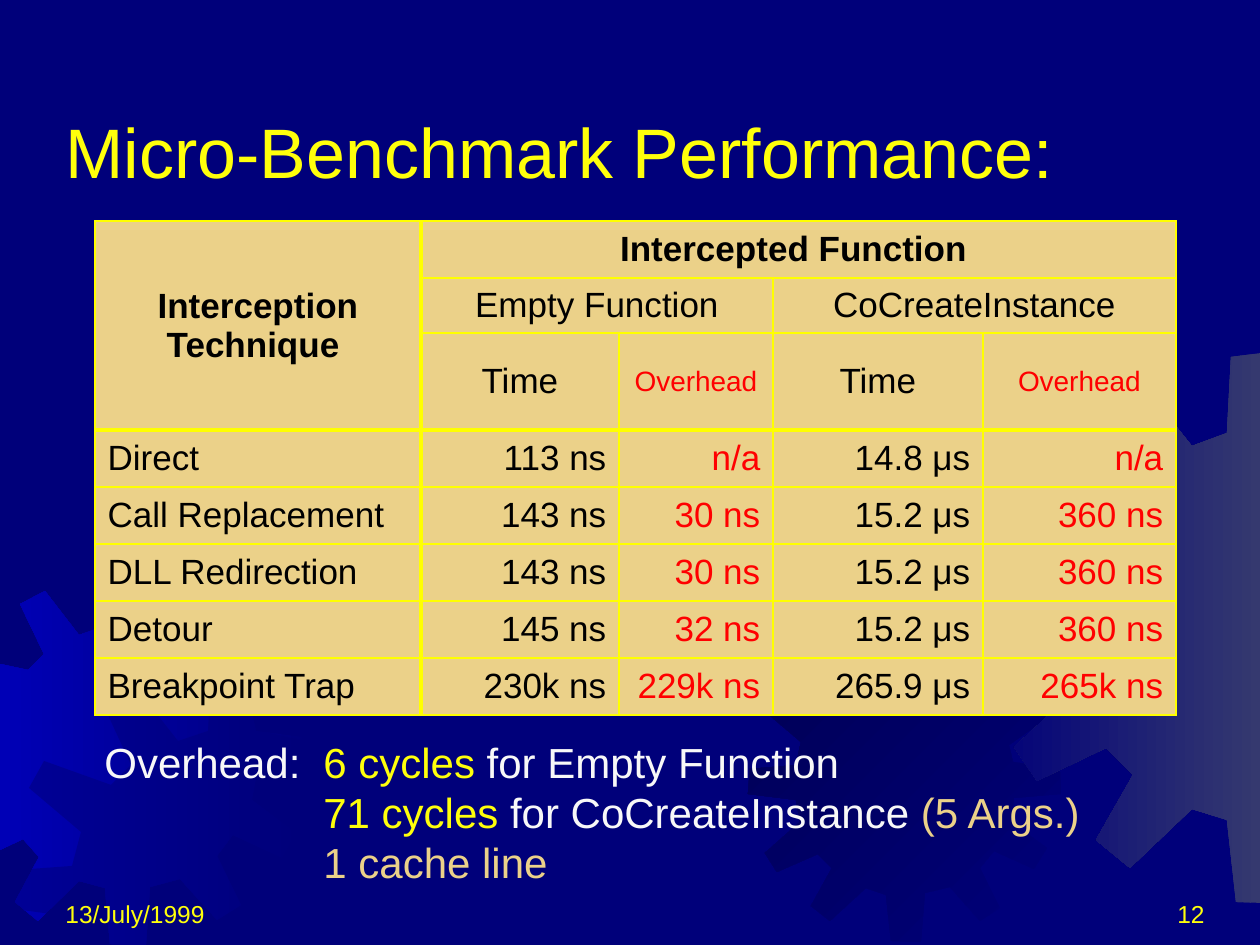
"""Build the micro-benchmark performance slide with its results table and gear backdrop."""
from dataclasses import dataclass

from lxml import etree
from pptx import Presentation
from pptx.dml.color import RGBColor
from pptx.enum.text import MSO_ANCHOR, PP_ALIGN
from pptx.oxml.ns import qn
from pptx.util import Emu, Pt

LEFT, CENTER, RIGHT = PP_ALIGN.LEFT, PP_ALIGN.CENTER, PP_ALIGN.RIGHT
JUSTIFY = PP_ALIGN.JUSTIFY
TOP, MIDDLE, BOTTOM = MSO_ANCHOR.TOP, MSO_ANCHOR.MIDDLE, MSO_ANCHOR.BOTTOM
PIXEL = 914400 // 126


@dataclass(frozen=True)
class Theme:
    font: str = "Arial"
    navy: str = "00007A"
    blue: str = "0000B6"
    midnight: str = "000054"
    slate: str = "35396F"
    yellow: str = "FFFF0B"
    border: str = "FFFF00"
    white: str = "F8F8F8"
    tan: str = "EBD189"
    black: str = "000000"
    red: str = "FF0000"
    title_size: int = 40
    note_size: int = 24
    table_size: int = 20
    small_size: int = 16
    footer_size: int = 14
    thin: float = 1.08
    thick: float = 2.21


theme = Theme()


def add_run(paragraph, text, size, color, bold=False):
    run = paragraph.add_run()
    run.text = text
    run.font.name = theme.font
    run.font.size = Pt(size)
    run.font.bold = bold
    run.font.color.rgb = RGBColor.from_string(color)


def add_text_box(left, top, width, height, anchor):
    box = slide.shapes.add_textbox(*(Emu(n * PIXEL) for n in (left, top, width, height)))
    box.text_frame.word_wrap = True
    box.text_frame.vertical_anchor = anchor
    return box.text_frame


presentation = Presentation()
presentation.slide_width = Emu(1260 * PIXEL)
presentation.slide_height = Emu(945 * PIXEL)
slide = presentation.slides.add_slide(presentation.slide_layouts[5])
slide.background.fill.solid()
slide.background.fill.fore_color.rgb = RGBColor.from_string(theme.navy)

left_gear = [
    (176, 634), (147, 626), (144, 572), (107, 575), (105, 626), (79, 635), (45, 591), (20, 604),
    (44, 654), (28, 670), (0, 664), (0, 850), (23, 839), (39, 857), (15, 902), (38, 921),
    (79, 881), (105, 888), (110, 944), (146, 945), (150, 887), (180, 879), (217, 920), (241, 905),
    (217, 856), (233, 835), (282, 858), (296, 833), (252, 800), (257, 772), (312, 767), (311, 738),
    (256, 731), (251, 709), (295, 678), (281, 653), (231, 673), (214, 656), (239, 610), (215, 595),
]
shade_gear = [
    (300, 740), (262, 731), (257, 662), (212, 664), (208, 731), (178, 741), (134, 685), (102, 702),
    (131, 765), (111, 785), (44, 761), (29, 788), (81, 832), (72, 866), (3, 871), (0, 907),
    (72, 917), (79, 950), (396, 950), (402, 915), (471, 907), (470, 872), (401, 862), (393, 834),
    (450, 795), (431, 764), (368, 789), (348, 769), (379, 708), (349, 690),
]
lower_gear = [
    (946, 682), (922, 677), (919, 630), (888, 633), (886, 677), (866, 683), (837, 646), (816, 658),
    (835, 698), (822, 712), (777, 697), (767, 713), (801, 742), (796, 765), (750, 769), (748, 794),
    (796, 800), (800, 822), (765, 853), (777, 872), (818, 854), (832, 868), (811, 906), (830, 921),
    (866, 888), (886, 895), (891, 941), (921, 942), (925, 893), (950, 887), (980, 921), (1000, 908),
    (980, 868), (994, 851), (1034, 869), (1047, 848), (1011, 822), (1014, 798), (1061, 794),
    (1060, 770), (1013, 762), (1009, 745), (1046, 719), (1033, 698), (992, 714), (978, 701),
    (999, 662), (979, 649),
]
right_gear = [
    (1261, 353), (1231, 357), (1227, 433), (1192, 446), (1140, 381), (1104, 401), (1138, 474),
    (1114, 498), (1037, 470), (1019, 500), (1079, 552), (1068, 591), (987, 597), (985, 641),
    (1068, 653), (1076, 690), (1014, 747), (1037, 781), (1106, 748), (1133, 775), (1096, 840),
    (1130, 868), (1192, 809), (1227, 820), (1236, 902), (1261, 903),
]
gears = [
    (left_gear, (theme.navy, theme.blue), 180),
    (shade_gear, (theme.navy,), 0),
    (lower_gear, (theme.navy, theme.midnight), 135),
    (right_gear, (theme.slate, theme.navy), 180),
]
for points, colors, angle in gears:
    builder = slide.shapes.build_freeform(*points[0], scale=PIXEL)
    builder.add_line_segments(points[1:], close=True)
    gear = builder.convert_to_shape()
    gear.shadow.inherit = False
    gear.line.fill.background()
    if len(colors) == 2:
        gear.fill.gradient()
        gear.fill.gradient_angle = angle
        for stop, color in zip(gear.fill.gradient_stops, colors):
            stop.color.rgb = RGBColor.from_string(color)
    else:
        gear.fill.solid()
        gear.fill.fore_color.rgb = RGBColor.from_string(colors[0])
        color_element = gear._element.spPr.find(qn("a:solidFill"))[0]
        etree.SubElement(color_element, qn("a:alpha"), val="50000")

title = slide.shapes.title
slide.shapes._spTree.append(title._element)
title.left, title.top, title.width, title.height = (Emu(n * PIXEL) for n in (53, 42, 1165, 157))
title.text_frame.vertical_anchor = BOTTOM
title_paragraph = title.text_frame.paragraphs[0]
title_paragraph.alignment = LEFT
add_run(title_paragraph, "Micro-Benchmark Performance:", theme.title_size, theme.yellow)

rows = [
    ("Interception Technique ", "Intercepted Function ", "", "", ""),
    ("", "Empty Function", "", "CoCreateInstance", ""),
    ("", "Time", "Overhead", "Time", "Overhead"),
    ("Direct", "113 ns", "n/a", "14.8 μs", "n/a"),
    ("Call Replacement", "143 ns", "30 ns", "15.2 μs", "360 ns"),
    ("DLL Redirection", "143 ns", "30 ns", "15.2 μs", "360 ns"),
    ("Detour", "145 ns", "32 ns", "15.2 μs", "360 ns"),
    ("Breakpoint Trap", "230k ns", "229k ns ", "265.9 μs", "265k ns"),
]
column_widths = [326, 198, 154, 210, 193]
row_heights = [57, 55, 97] + [57] * 5
frame = slide.shapes.add_table(
    len(rows), len(column_widths), Emu(95 * PIXEL), Emu(221 * PIXEL),
    Emu(sum(column_widths) * PIXEL), Emu(sum(row_heights) * PIXEL))
table = frame.table
table.horz_banding = False
for column, width in zip(table.columns, column_widths):
    column.width = Emu(width * PIXEL)
for row, height in zip(table.rows, row_heights):
    row.height = Emu(height * PIXEL)
for first, last in [((0, 0), (2, 0)), ((0, 1), (0, 4)), ((1, 1), (1, 2)), ((1, 3), (1, 4))]:
    table.cell(*first).merge(table.cell(*last))

for row_index, texts in enumerate(rows):
    for column_index, text in enumerate(texts):
        cell = table.cell(row_index, column_index)
        cell.vertical_anchor = MIDDLE
        thick_edges = {"L": column_index == 1, "R": column_index == 0,
                       "T": row_index == 3, "B": row_index == 2 or (row_index, column_index) == (0, 0)}
        for edge, is_thick in thick_edges.items():
            weight = Pt(theme.thick if is_thick else theme.thin)
            line = etree.SubElement(cell._tc.get_or_add_tcPr(), qn(f"a:ln{edge}"), w=str(weight))
            line_fill = etree.SubElement(line, qn("a:solidFill"))
            etree.SubElement(line_fill, qn("a:srgbClr"), val=theme.border)
        cell.fill.solid()
        cell.fill.fore_color.rgb = RGBColor.from_string(theme.tan)
        if not text:
            continue
        is_header = row_index < 3
        is_overhead = row_index >= 2 and column_index in (2, 4)
        is_small = is_header and is_overhead
        paragraph = cell.text_frame.paragraphs[0]
        paragraph.space_before = Pt(4 if is_small else 5)
        if is_header:
            paragraph.alignment = CENTER
        elif column_index:
            paragraph.alignment = RIGHT
        else:
            paragraph.alignment = JUSTIFY if row_index < 6 else LEFT
        add_run(paragraph, text, theme.small_size if is_small else theme.table_size,
                theme.red if is_overhead else theme.black, bold=row_index == 0)

note_lines = [
    [("Overhead:\t", theme.white), ("6 cycles", theme.yellow), (" for Empty Function", theme.white)],
    [("\t", theme.white), ("71 cycles", theme.yellow), (" for CoCreateInstance ", theme.white),
     ("(5 Args.)", theme.tan)],
    [("\t1 cache line", theme.tan)],
]
note = add_text_box(92, 730, 1074, 164, TOP)
for index, runs in enumerate(note_lines):
    paragraph = note.paragraphs[0] if index == 0 else note.add_paragraph()
    tab_list = etree.SubElement(paragraph._p.get_or_add_pPr(), qn("a:tabLst"))
    etree.SubElement(tab_list, qn("a:tab"), pos=str(219 * PIXEL), algn="l")
    for text, color in runs:
        add_run(paragraph, text, theme.note_size, color)

for left, text, alignment in [(955, "12", RIGHT), (53, "13/July/1999", LEFT)]:
    paragraph = add_text_box(left, 872, 262, 63, BOTTOM).paragraphs[0]
    paragraph.alignment = alignment
    add_run(paragraph, text, theme.footer_size, theme.yellow)

presentation.save("out.pptx")
